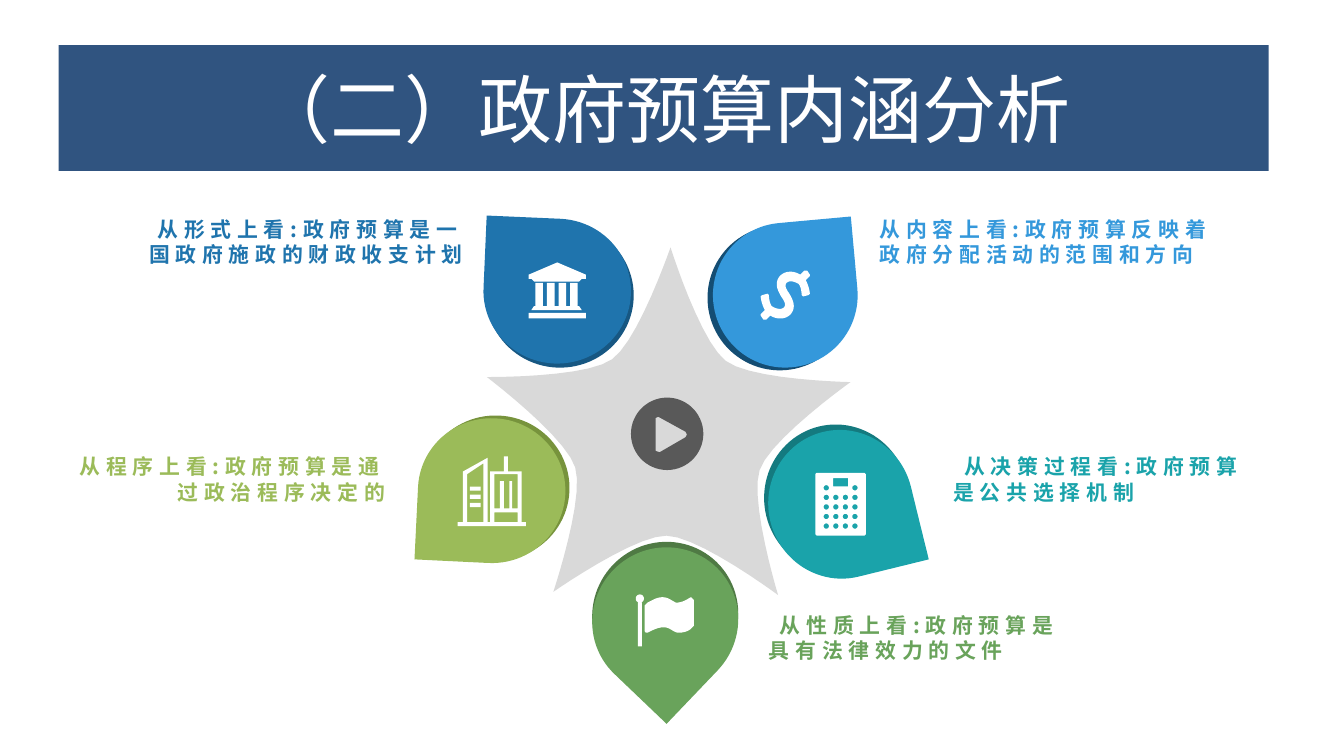
from math import cos, radians, sin

from lxml.etree import SubElement
from pptx import Presentation
from pptx.dml.color import RGBColor
from pptx.enum.shapes import MSO_SHAPE
from pptx.enum.text import MSO_ANCHOR, PP_ALIGN
from pptx.oxml.ns import qn
from pptx.util import Inches, Pt

COLORS = {
    "banner": "305480", "white": "FFFFFF", "star": "D9D9D9", "button": "595959",
    "blue": "1F74AD", "blue_rim": "175782", "sky": "3498DB", "sky_rim": "144D73",
    "teal": "1AA3AA", "teal_rim": "147A7F", "lime": "9BBB59", "lime_rim": "77933C",
    "green": "69A35B", "green_rim": "4F7A44",
}
LABEL_FONT = "Noto Sans CJK SC"
LABEL_HEIGHT = 0.5


def color(name):
    return RGBColor.from_string(COLORS[name])


def set_values(target, values):
    for name, value in values.items():
        setattr(target, name, value)


def paint(shape, fill):
    shape.shadow.inherit = False
    shape.fill.solid()
    shape.fill.fore_color.rgb = color(fill)
    shape.line.fill.background()


# Outlines: a pair is a line end, six numbers are a cubic curve
def flatten(outline, steps=10):
    points = [outline[0]]
    for part in outline[1:]:
        if len(part) == 2:
            points.append(part)
            continue
        x0, y0 = points[-1]
        x1, y1, x2, y2, x3, y3 = part
        for step in range(1, steps + 1):
            t = step / steps
            u = 1 - t
            weights = (u ** 3, 3 * u * u * t, 3 * u * t * t, t ** 3)
            points.append((sum(w * x for w, x in zip(weights, (x0, x1, x2, x3))),
                           sum(w * y for w, y in zip(weights, (y0, y1, y2, y3)))))
    return points


def rectangle(left, top, right, bottom):
    return [(left, top), (right, top), (right, bottom), (left, bottom)]


def polar(radius, degrees):
    return radius * cos(radians(degrees)), radius * sin(radians(degrees))


def circle(x, y, radius, sides=60):
    ring = [polar(radius, 360 * side / sides) for side in range(sides)]
    return [(x + dx, y + dy) for dx, dy in ring]


def add_outlines(page, left, top, outlines, fill):
    builder = None
    for outline in outlines:
        points = [(Inches(left + x), Inches(top + y)) for x, y in flatten(outline)]
        if builder is None:
            builder = page.shapes.build_freeform(*points[0], scale=1.0)
        else:
            builder.move_to(*points[0])
        builder.add_line_segments(points[1:], close=True)
    paint(builder.convert_to_shape(), fill)


# Icons, each measured from its own corner
def bank_icon():
    columns = [rectangle(0.05 + 0.085 * i, 0.15, 0.105 + 0.085 * i, 0.32) for i in range(4)]
    roof = [(0, 0.09), (0.21, 0), (0.42, 0.09), (0.42, 0.12), (0.39, 0.12),
            (0.37, 0.14), (0.04, 0.14), (0.02, 0.12), (0, 0.12)]
    beam = [(0.04, 0.32), (0.37, 0.32), (0.39, 0.35), (0.02, 0.35)]
    return [roof, *columns, beam, rectangle(0, 0.37, 0.42, 0.41)]


def dollar_icon():
    half = [(-0.11, 0.15), (-0.14, 0.18), (-0.16, 0.18), (-0.18, 0.15), (-0.18, 0.14),
            (-0.15, 0.11), (-0.18, 0.05, -0.18, 0.01, -0.18, 0.01), (-0.17, 0),
            (-0.13, -0.01), (-0.12, 0), (-0.12, 0, -0.12, 0.05, -0.1, 0.08),
            (-0.07, 0.1, -0.03, 0.11, -0.01, 0.09), (0.01, 0.07, -0.01, 0.04, -0.03, 0.01),
            (-0.06, -0.04, -0.08, -0.09, -0.04, -0.14), (0, -0.18, 0.06, -0.18, 0.11, -0.15)]
    return [half + [tuple(-value for value in part) for part in half]]


def calculator_icon():
    dots = [circle(0.08 + 0.07 * column, 0.11 + 0.07 * row, 0.02, 12)
            for row in range(5) for column in range(4) if row or column in (0, 3)]
    body = [(0, 0.01), (0.01, 0), (0.36, 0), (0.37, 0.01), (0.37, 0.45),
            (0.36, 0.46), (0.01, 0.46), (0, 0.45)]
    return [body, rectangle(0.13, 0.04, 0.24, 0.1), *dots]


def building_icon():
    skyline = [(0.5, 0.51), (0, 0.51), (0, 0.48), (0.04, 0.48), (0.04, 0.11), (0.22, 0.01),
               (0.22, 0.48), (0.24, 0.48), (0.24, 0.11), (0.34, 0.11), (0.34, 0),
               (0.37, 0), (0.37, 0.11), (0.47, 0.11), (0.47, 0.48), (0.5, 0.48)]
    left_tower = [(0.19, 0.05), (0.07, 0.13), (0.07, 0.48), (0.19, 0.48)]
    right_tower = [(0.44, 0.13), (0.27, 0.13), (0.27, 0.38), (0.31, 0.38), (0.31, 0.18),
                   (0.34, 0.18), (0.34, 0.38), (0.38, 0.38), (0.38, 0.18), (0.4, 0.18),
                   (0.4, 0.38), (0.44, 0.38)]
    windows = [rectangle(0.09, y, 0.17, y + 0.03) for y in (0.22, 0.28, 0.34)]
    return [skyline, left_tower, right_tower, rectangle(0.27, 0.41, 0.44, 0.48), *windows]


def flag_icon():
    cloth = [(0.07, 0.27), (0.07, 0.08), (0.09, 0.06), (0.13, 0.04, 0.16, 0.02, 0.2, 0.02),
             (0.24, 0.02, 0.26, 0.04, 0.3, 0.06), (0.36, 0.06, 0.4, 0.02, 0.41, 0.02),
             (0.43, 0.04), (0.43, 0.23), (0.41, 0.25), (0.39, 0.27, 0.35, 0.28, 0.32, 0.28),
             (0.28, 0.28, 0.26, 0.24, 0.21, 0.24), (0.17, 0.24, 0.13, 0.26, 0.09, 0.28),
             (0.08, 0.28)]
    return [circle(0.035, 0.03, 0.03), rectangle(0.02, 0.06, 0.05, 0.38), cloth]


def play_icon():
    triangle = [(0.18, 0.15), (0.2, 0.14), (0.4, 0.25), (0.41, 0.27), (0.4, 0.29),
                (0.21, 0.4), (0.18, 0.39)]
    return [circle(0.265, 0.265, 0.265), triangle]


# Regions of the slide
def add_banner(page, left, top, width, height):
    banner = page.shapes.add_shape(MSO_SHAPE.RECTANGLE, Inches(left), Inches(top),
                                   Inches(width), Inches(height))
    paint(banner, "banner")
    banner.text_frame.vertical_anchor = MSO_ANCHOR.MIDDLE
    para = banner.text_frame.paragraphs[0]
    para.alignment = PP_ALIGN.CENTER
    span = para.add_run()
    span.text = "（二）政府预算内涵分析"
    set_values(span.font, {"name": "Calibri", "size": Pt(39)})
    span.font.color.rgb = color("white")


def add_star(page, x, y, tip_radius=1.4, inner_radius=0.71, handle=0.235):
    outline = [polar(tip_radius, -89.2)]
    for arm in range(5):
        angle = -89.2 + 72 * arm
        tip, next_tip = polar(tip_radius, angle), polar(tip_radius, angle + 72)
        ix, iy = polar(inner_radius, angle + 36)
        hx, hy = polar(handle, angle + 126)
        outline += [(*tip, ix - hx, iy - hy, ix, iy), (ix + hx, iy + hy, *next_tip, *next_tip)]
    add_outlines(page, x, y, [outline], "star")


def add_petal(page, left, top, width, height, rim_shift, rotation, tone, icon, icon_at):
    for (dx, dy), fill in ((rim_shift, tone + "_rim"), ((0, 0), tone)):
        petal = page.shapes.add_shape(MSO_SHAPE.TEAR, Inches(left + dx), Inches(top + dy),
                                      Inches(width), Inches(height))
        petal.rotation = rotation
        paint(petal, fill)
    add_outlines(page, *icon_at, icon(), "white")


def add_label(page, left, bottom, width, text, tone, align, indent):
    box = page.shapes.add_textbox(Inches(left), Inches(bottom - LABEL_HEIGHT),
                                  Inches(width), Inches(LABEL_HEIGHT))
    set_values(box.text_frame, {
        "word_wrap": True, "vertical_anchor": MSO_ANCHOR.BOTTOM, "margin_left": Inches(0.07),
        "margin_top": 0, "margin_right": 0, "margin_bottom": 0})
    para = box.text_frame.paragraphs[0]
    set_values(para, {"alignment": align, "line_spacing": 1.0})
    para._p.get_or_add_pPr().set("indent", str(Inches(indent)))
    span = para.add_run()
    span.text = text
    set_values(span.font, {"name": LABEL_FONT, "size": Pt(11), "bold": True})
    span.font.color.rgb = color(tone)
    properties = span._r.get_or_add_rPr()
    properties.set("spc", "300")
    SubElement(properties, qn("a:ea")).set("typeface", LABEL_FONT)


PETALS = [
    (3.55, 1.59, 1.06, 1.08, (0.02, 0.03), 272.5, "blue", bank_icon, (3.87, 1.92)),
    (5.22, 1.63, 1.06, 1.06, (-0.04, 0.02), 354.8, "sky", dollar_icon, (5.75, 2.16)),
    (5.61, 3.16, 1.09, 1.06, (-0.03, -0.04), 76.2, "teal", calculator_icon, (5.97, 3.46)),
    (3.06, 3.06, 1.08, 1.06, (0.03, -0.02), 182.8, "lime", building_icon, (3.35, 3.34)),
    (4.33, 4.01, 1.08, 1.06, (0, -0.04), 133.7, "green", flag_icon, (4.65, 4.35)),
]
LABELS = [
    (0.95, 1.95, 2.44, "从形式上看:政府预算是一国政府施政的财政收支计划", "blue", PP_ALIGN.RIGHT, 0),
    (6.37, 1.95, 2.62, "从内容上看:政府预算反映着政府分配活动的范围和方向", "sky", PP_ALIGN.LEFT, 0),
    (6.91, 3.69, 2.38, "从决策过程看:政府预算是公共选择机制", "teal", PP_ALIGN.LEFT, 0.08),
    (0.38, 3.69, 2.44, "从程序上看:政府预算是通过政治程序决定的", "lime", PP_ALIGN.RIGHT, 0),
    (5.56, 4.85, 2.38, "从性质上看:政府预算是具有法律效力的文件", "green", PP_ALIGN.LEFT, 0.08),
]


def main():
    deck = Presentation()
    set_values(deck, {"slide_width": Inches(9.84), "slide_height": Inches(5.51)})
    page = deck.slides.add_slide(deck.slide_layouts[6])
    add_banner(page, 0.43, 0.33, 8.86, 0.92)
    add_star(page, 4.89, 3.21)
    add_outlines(page, 4.62, 2.91, play_icon(), "button")
    for petal in PETALS:
        add_petal(page, *petal)
    for label in LABELS:
        add_label(page, *label)
    deck.save("out.pptx")


if __name__ == "__main__":
    main()
